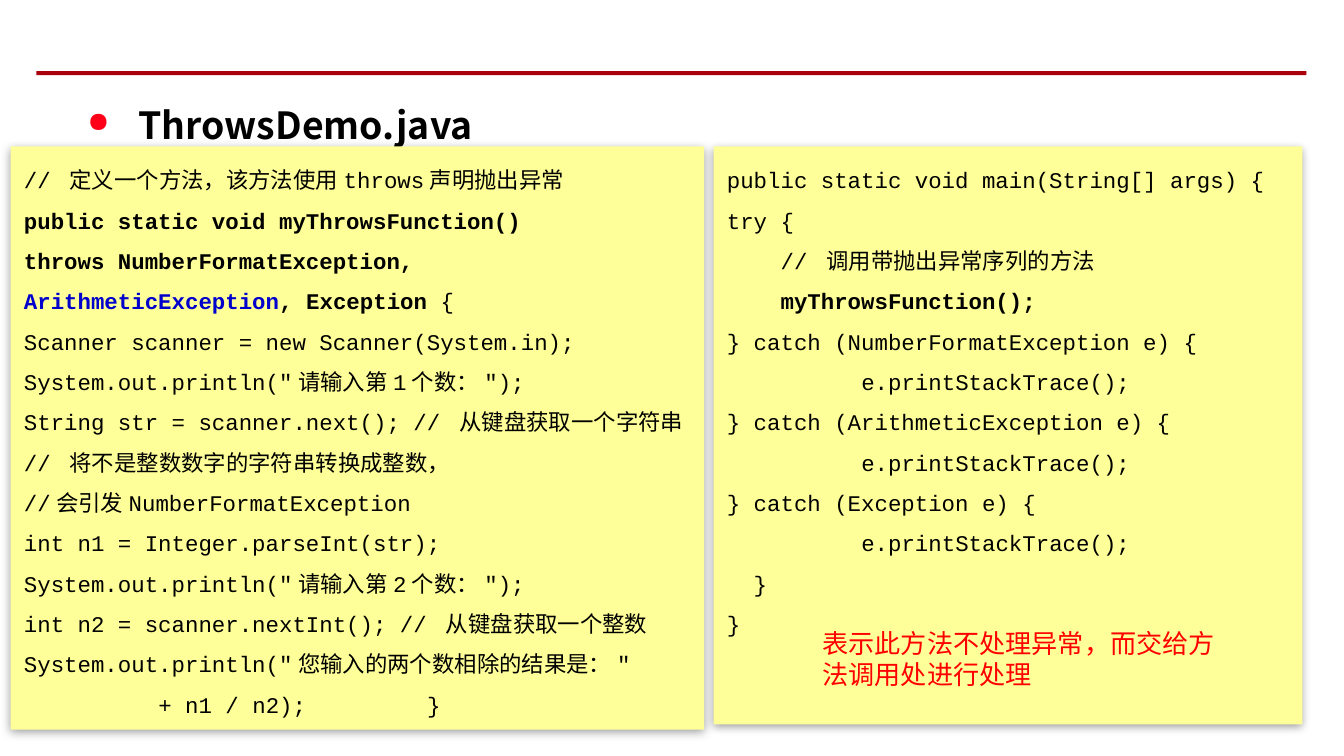
from dataclasses import dataclass

from lxml.etree import SubElement
from pptx import Presentation
from pptx.dml.color import RGBColor
from pptx.enum.shapes import MSO_SHAPE
from pptx.enum.text import MSO_ANCHOR, MSO_AUTO_SIZE, PP_ALIGN
from pptx.oxml.ns import qn
from pptx.util import Inches, Pt


@dataclass(frozen=True)
class Theme:
    rule: str = "AA000B"
    bullet: str = "FF0019"
    panel: str = "FFFF99"
    text: str = "000000"
    highlight: str = "0000CC"
    note: str = "FF0000"
    heading_font: str = "Noto Sans CJK SC"
    code_font: str = "Courier New"
    note_font: str = "DejaVu Sans"
    heading_size: float = 20
    code_size: float = 12
    note_size: float = 14
    code_pitch: float = 21.6
    heading_pitch: float = 35.3


@dataclass(frozen=True)
class Box:
    left: float
    top: float
    width: float
    height: float

    def lengths(self) -> tuple:
        return tuple(Inches(v) for v in (self.left, self.top, self.width, self.height))


THEME = Theme()


@dataclass(frozen=True)
class Span:
    text: str
    bold: bool = False
    color: str = THEME.text


@dataclass(frozen=True)
class CodePanel:
    box: Box
    lines: tuple


CATCH_BODY = "\te.printStackTrace();"

METHOD_PANEL = CodePanel(Box(0.08, 1.09, 5.16, 4.34), (
    "// 定义一个方法，该方法使用throws声明抛出异常",
    (Span("public static void myThrowsFunction()", True),),
    (Span("throws NumberFormatException,", True),),
    (Span("ArithmeticException", True, THEME.highlight),
     Span(", Exception ", True), Span("{")),
    "Scanner scanner = new Scanner(System.in);",
    'System.out.println("请输入第1个数：");',
    "String str = scanner.next(); // 从键盘获取一个字符串",
    "// 将不是整数数字的字符串转换成整数，",
    "//会引发NumberFormatException",
    "int n1 = Integer.parseInt(str);",
    'System.out.println("请输入第2个数：");',
    "int n2 = scanner.nextInt(); // 从键盘获取一个整数",
    'System.out.println("您输入的两个数相除的结果是："',
    "\t+ n1 / n2);\t}",
))

MAIN_PANEL = CodePanel(Box(5.31, 1.09, 4.38, 4.3), (
    "public static void main(String[] args) {",
    "try {",
    "    // 调用带抛出异常序列的方法",
    (Span("    myThrowsFunction();", True),),
    "} catch (NumberFormatException e) {",
    CATCH_BODY,
    "} catch (ArithmeticException e) {",
    CATCH_BODY,
    "} catch (Exception e) {",
    CATCH_BODY,
    "  }",
    "}",
))


def format_run(run, font: str, size: float, color: str, bold: bool, asian_font: str) -> None:
    run.font.name = font
    run.font.size = Pt(size)
    run.font.bold = bold
    run.font.color.rgb = RGBColor.from_string(color)
    SubElement(run.font._element, qn("a:ea"), typeface=asian_font)


def add_rectangle(slide, box: Box, color: str):
    shape = slide.shapes.add_shape(MSO_SHAPE.RECTANGLE, *box.lengths())
    shape.shadow.inherit = False
    shape.fill.solid()
    shape.fill.fore_color.rgb = RGBColor.from_string(color)
    shape.line.fill.background()
    return shape


def add_soft_shadow(shape) -> None:
    effects = shape._element.spPr.find(qn("a:effectLst"))
    shadow = SubElement(effects, qn("a:outerShdw"), blurRad=str(Pt(5)), dist=str(Pt(1.6)),
                        dir="5400000", rotWithShape="0")
    color = SubElement(shadow, qn("a:srgbClr"), val="000000")
    SubElement(color, qn("a:alpha"), val="38000")


def add_tab_stops(paragraph) -> None:
    tabs = SubElement(paragraph._p.get_or_add_pPr(), qn("a:tabLst"))
    for inch in range(1, 4):
        SubElement(tabs, qn("a:tab"), pos=str(Inches(inch)), algn="l")


def add_code_panel(slide, panel: CodePanel) -> None:
    shape = add_rectangle(slide, panel.box, THEME.panel)
    add_soft_shadow(shape)
    frame = shape.text_frame
    frame.word_wrap = True
    frame.vertical_anchor = MSO_ANCHOR.TOP
    for index, line in enumerate(panel.lines):
        paragraph = frame.add_paragraph() if index else frame.paragraphs[0]
        paragraph.alignment = PP_ALIGN.LEFT
        paragraph.line_spacing = Pt(THEME.code_pitch)
        add_tab_stops(paragraph)
        spans = (Span(line),) if isinstance(line, str) else line
        for span in spans:
            run = paragraph.add_run()
            run.text = span.text
            format_run(run, THEME.code_font, THEME.code_size, span.color, span.bold,
                       THEME.heading_font)


def set_heading(slide, text: str, box: Box) -> None:
    title = slide.shapes.title
    title.left, title.top, title.width, title.height = box.lengths()
    frame = title.text_frame
    frame.text = text
    frame.auto_size = MSO_AUTO_SIZE.NONE
    frame.vertical_anchor = MSO_ANCHOR.TOP
    paragraph = frame.paragraphs[0]
    paragraph.alignment = PP_ALIGN.LEFT
    paragraph.line_spacing = Pt(THEME.heading_pitch)
    format_run(paragraph.runs[0], THEME.heading_font, THEME.heading_size, THEME.text, True,
               THEME.heading_font)
    # Round bullet with a hanging indent
    properties = paragraph._p.get_or_add_pPr()
    properties.set("marL", str(Inches(0.38)))
    properties.set("indent", str(Inches(-0.38)))
    bullet_color = SubElement(properties, qn("a:buClr"))
    SubElement(bullet_color, qn("a:srgbClr"), val=THEME.bullet)
    SubElement(properties, qn("a:buSzPct"), val="75000")
    SubElement(properties, qn("a:buChar"), char="●")


def add_note(slide, text: str, box: Box) -> None:
    frame = slide.shapes.add_textbox(*box.lengths()).text_frame
    frame.word_wrap = True
    frame.text = text
    format_run(frame.paragraphs[0].runs[0], THEME.note_font, THEME.note_size, THEME.note,
               False, THEME.note_font)


def main() -> None:
    # Widescreen, 16 to 9
    presentation = Presentation()
    presentation.slide_width = Inches(10)
    presentation.slide_height = presentation.slide_width * 9 // 16
    slide = presentation.slides.add_slide(presentation.slide_layouts[5])

    # Heading and rule
    add_rectangle(slide, Box(0.27, 0.53, 9.45, 0.03), THEME.rule)
    set_heading(slide, "ThrowsDemo.java", Box(0.55, 0.55, 8.98, 0.7))

    # Code listings
    for panel in (METHOD_PANEL, MAIN_PANEL):
        add_code_panel(slide, panel)

    # Remark on the listing
    add_note(slide, "表示此方法不处理异常，而交给方法调用处进行处理", Box(6.02, 4.62, 3.21, 0.57))

    presentation.save("out.pptx")


if __name__ == "__main__":
    main()
